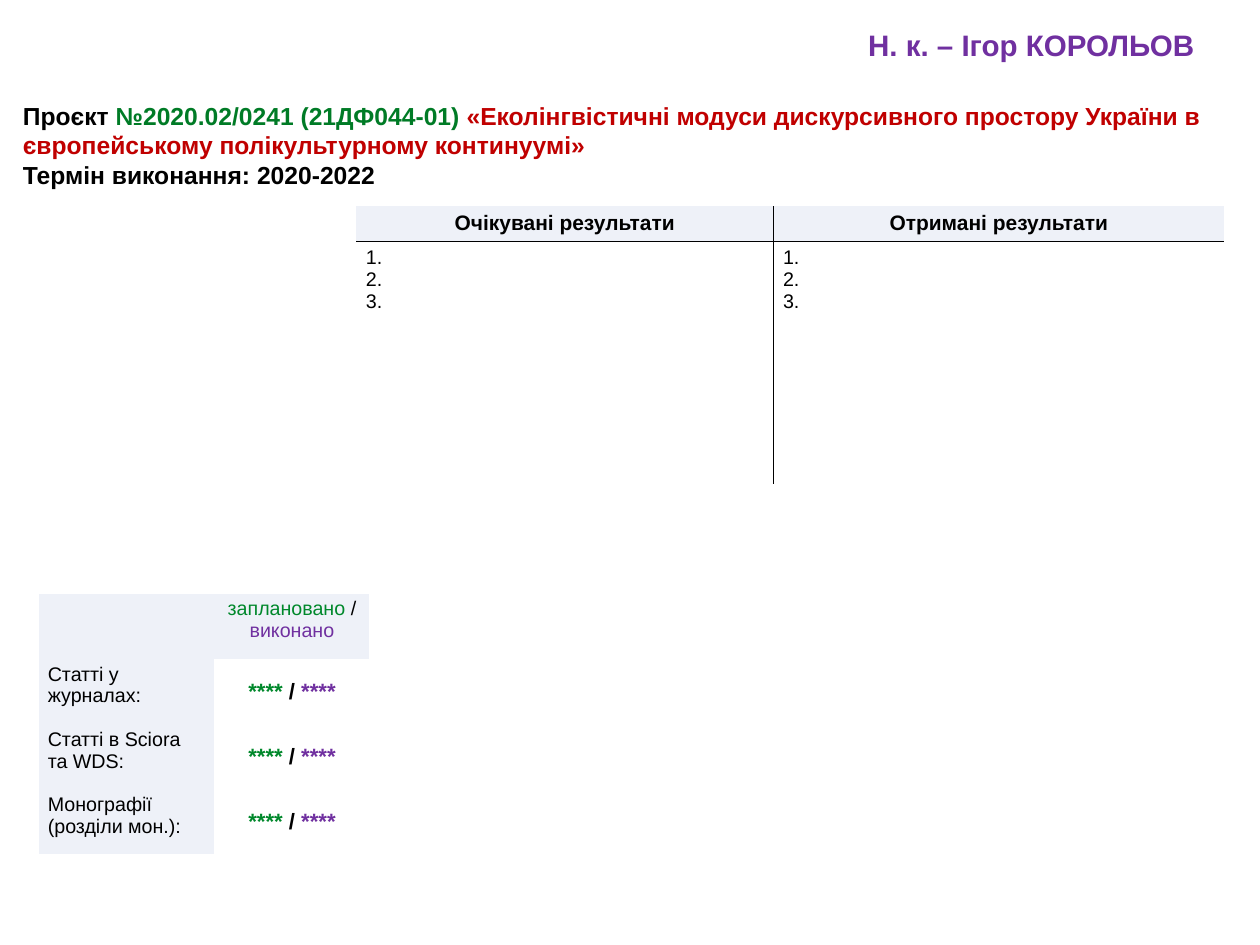
from pptx import Presentation
from pptx.dml.color import RGBColor
from pptx.enum.text import MSO_ANCHOR as Anchor, PP_ALIGN as Align
from pptx.oxml import parse_xml
from pptx.oxml.ns import nsdecls
from pptx.util import Pt

BLACK, VIOLET, RED = "000000", "7030A0", "C00000"
DARK_GREEN, GREEN, PALE = "007B26", "00882B", "EEF1F8"


def rgb(value):
    return RGBColor.from_string(value)


def write(frame, paragraphs, size=16, bold=False, align=Align.LEFT,
          anchor=Anchor.TOP, margins=(7.2, 3.6)):
    """Fill a frame or cell; each paragraph is a list of (text, colour) runs."""
    text_frame = getattr(frame, "text_frame", frame)
    text_frame.word_wrap = True
    frame.vertical_anchor = anchor
    frame.margin_left = frame.margin_right = Pt(margins[0])
    frame.margin_top = frame.margin_bottom = Pt(margins[1])
    for index, parts in enumerate(paragraphs):
        paragraph = text_frame.add_paragraph() if index else text_frame.paragraphs[0]
        paragraph.alignment = align
        for text, colour in parts:
            run = paragraph.add_run()
            run.text = text
            run.font.name = "Arial"
            run.font.size = Pt(size)
            run.font.bold = bold
            run.font.color.rgb = rgb(colour)


class ReportSlide:
    def __init__(self, deck):
        self.slide = deck.slides.add_slide(deck.slide_layouts[6])
        self.rule_width = Pt(1)

    def text(self, left, top, width, height, paragraphs, **style):
        box = self.slide.shapes.add_textbox(Pt(left), Pt(top), Pt(width), Pt(height))
        write(box.text_frame, paragraphs, **style)

    def table(self, left, top, widths, heights):
        table = self.slide.shapes.add_table(
            len(heights), len(widths), Pt(left), Pt(top),
            Pt(sum(widths)), Pt(sum(heights))).table
        table.first_row = table.horz_banding = False
        for column, width in zip(table.columns, widths):
            column.width = Pt(width)
        for row, height in zip(table.rows, heights):
            row.height = Pt(height)
        return table

    def cell(self, cell, paragraphs=(), fill=None, ruled="", **style):
        """Style a cell; ruled names its drawn sides out of L, R, T and B."""
        properties = cell._tc.get_or_add_tcPr()
        for side in "LRTB":
            paint = (f'<a:solidFill><a:srgbClr val="{BLACK}"/></a:solidFill>'
                     if side in ruled else "<a:noFill/>")
            properties.append(parse_xml(
                f'<a:ln{side} {nsdecls("a")} w="{self.rule_width}">{paint}</a:ln{side}>'))
        if fill:
            cell.fill.solid()
            cell.fill.fore_color.rgb = rgb(fill)
        else:
            cell.fill.background()
        write(cell, paragraphs, **style)


def main():
    deck = Presentation()
    deck.slide_width, deck.slide_height = Pt(1024), Pt(768)
    report = ReportSlide(deck)

    results = report.table(289.5, 167.8, [339, 366.5], [28.4, 197.3])
    columns = [("Очікувані результати", Align.LEFT, "R"),
               ("Отримані результати", Align.JUSTIFY, "L")]
    numbers = [[(f"{number}.", BLACK)] for number in range(1, 4)]
    for index, (heading, align, inner_side) in enumerate(columns):
        report.cell(results.cell(0, index), [[(heading, BLACK)]], fill=PALE,
                    ruled=inner_side + "B", size=17, bold=True,
                    align=Align.CENTER, margins=(7.9, 4.3))
        report.cell(results.cell(1, index), numbers, ruled=inner_side + "T",
                    align=align, margins=(7.9, 4.3))

    report.text(698.4, 18.7, 320, 36, [[("Н. к. – Ігор КОРОЛЬОВ", VIOLET)]],
                size=24, bold=True)
    report.text(8.6, 76.3, 996, 82.8, [
        [("Проєкт ", BLACK),
         ("№2020.02/0241 (21ДФ044-01) ", DARK_GREEN),
         ("«Еколінгвістичні модуси дискурсивного простору України в "
          "європейському полікультурному континуумі»", RED)],
        [("Термін виконання: 2020-2022", BLACK)],
    ], size=20, bold=True, anchor=Anchor.MIDDLE, margins=(10, 5))

    publications = ["Статті у журналах:", "Статті в Sciora та WDS:",
                    "Монографії (розділи мон.):"]
    counts = report.table(31.7, 482.5, [142.6, 126], [53] * (len(publications) + 1))

    def planned_and_done(planned, done):
        return [[(planned, GREEN), (" / ", BLACK), (done, VIOLET)]]

    report.cell(counts.cell(0, 0), fill=PALE)
    report.cell(counts.cell(0, 1), planned_and_done("заплановано", "виконано"),
                fill=PALE, align=Align.CENTER)
    for row, publication in enumerate(publications, 1):
        report.cell(counts.cell(row, 0), [[(publication, BLACK)]], fill=PALE)
        report.cell(counts.cell(row, 1), planned_and_done("****", "****"), size=18,
                    bold=True, align=Align.CENTER, anchor=Anchor.MIDDLE)

    deck.save("out.pptx")


if __name__ == "__main__":
    main()
